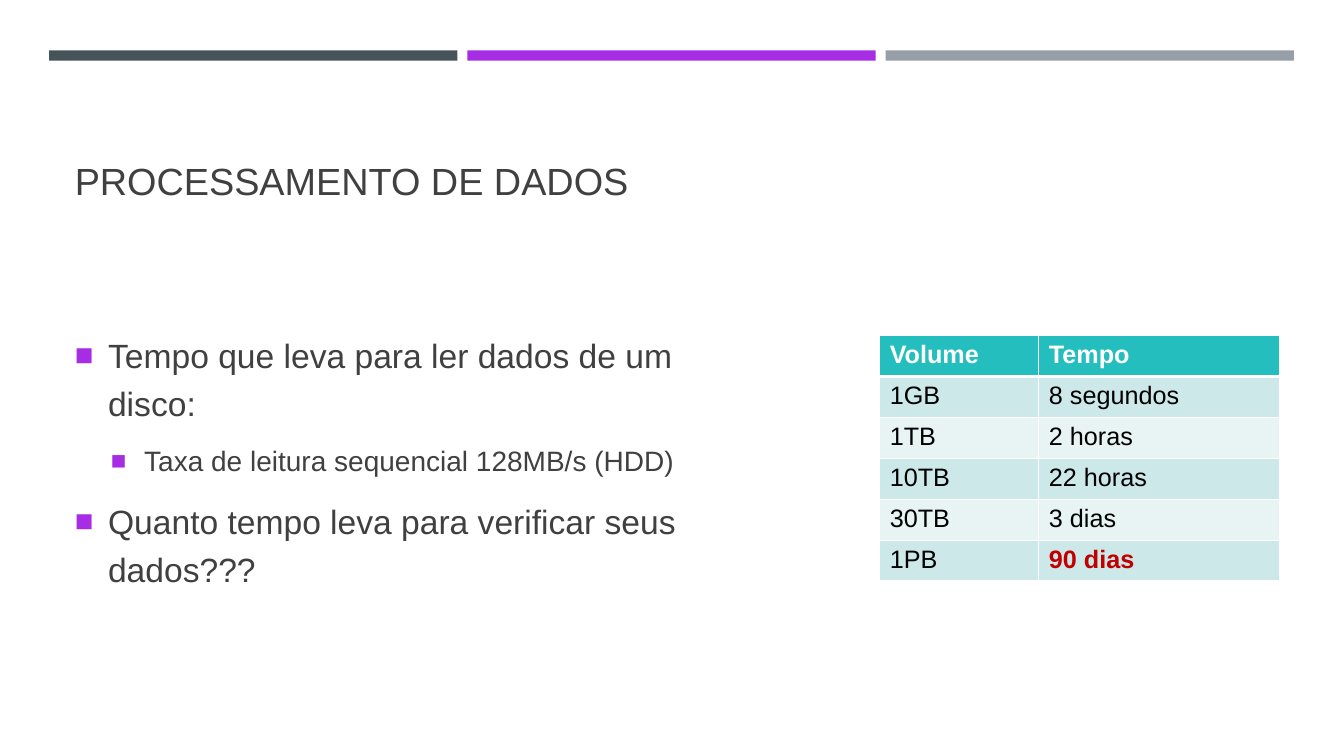
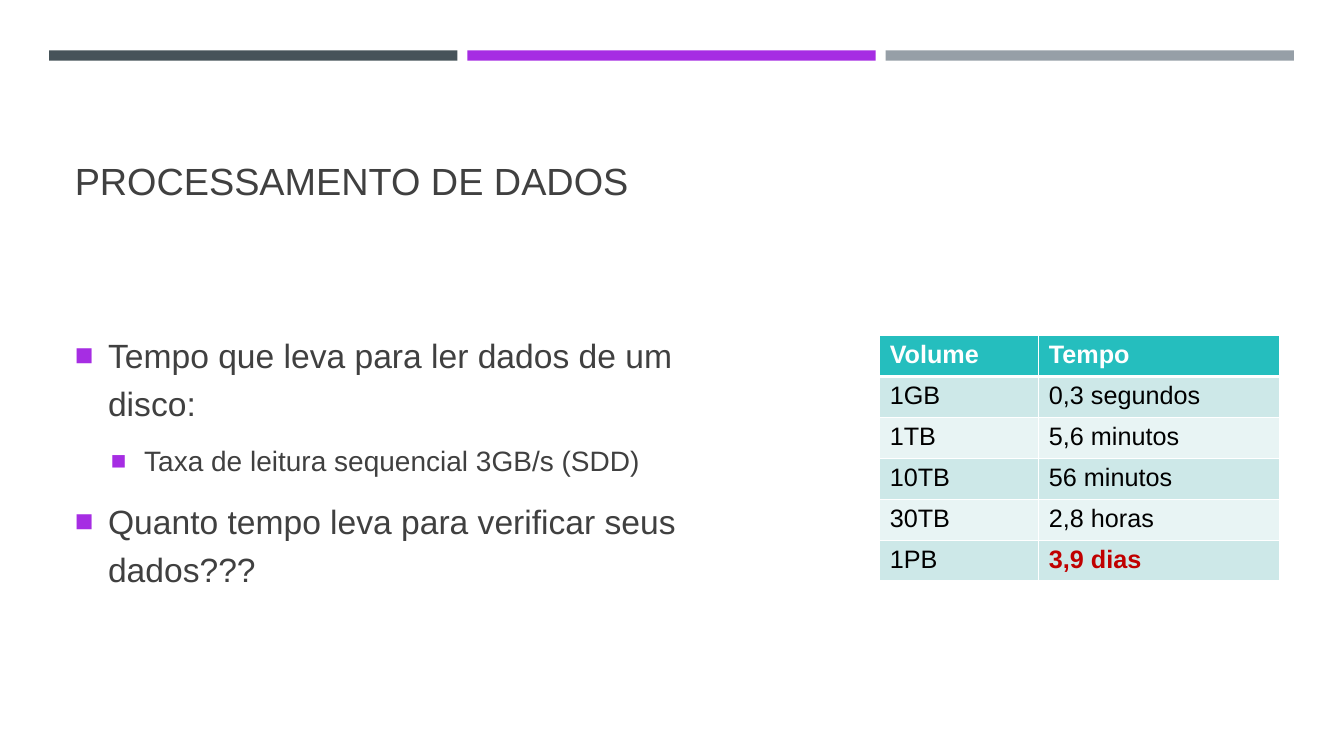
from dataclasses import dataclass

from lxml import etree
from pptx import Presentation
from pptx.dml.color import RGBColor
from pptx.enum.shapes import MSO_SHAPE
from pptx.enum.text import MSO_ANCHOR, MSO_AUTO_SIZE, PP_ALIGN
from pptx.oxml.ns import qn
from pptx.util import Cm, Pt

RECT = MSO_SHAPE.RECTANGLE
BOTTOM, MIDDLE = MSO_ANCHOR.BOTTOM, MSO_ANCHOR.MIDDLE
FIXED = MSO_AUTO_SIZE.NONE
LEFT = PP_ALIGN.LEFT


@dataclass(frozen=True)
class Theme:
    font: str = "Arial"
    ink: str = "404040"
    accent: str = "A62DE3"
    bands: tuple = ("465359", "A62DE3", "969FA7")
    head: str = "25BEBE"
    rows: tuple = ("CDE8E8", "E8F4F4")
    white: str = "FFFFFF"
    black: str = "000000"
    alert: str = "C00000"
    title: int = 27
    levels: tuple = (24, 20)
    cell: int = 18


THEME = Theme()


def write(para, text, size, color, bold=False, align=LEFT, line=None,
          before=0, after=0):
    para.alignment = align
    para.space_before, para.space_after = Pt(before), Pt(after)
    if line:
        para.line_spacing = line
    run = para.add_run()
    run.text = text
    font = run.font
    font.name, font.size, font.bold = THEME.font, Pt(size), bold
    font.color.rgb = RGBColor.from_string(color)


def node(parent, tag, **attrs):
    return etree.SubElement(parent, qn(tag), attrs)


def bullet(para, level):
    """Give the paragraph a square bullet and a hanging indent."""
    para.level = level
    props = para._p.get_or_add_pPr()
    props.set("marL", str(Cm((0.84, 1.75)[level])))
    props.set("indent", str(Cm(-0.84)))
    node(node(props, "a:buClr"), "a:srgbClr", val=THEME.accent)
    node(props, "a:buSzPct", val="92000")
    node(props, "a:buFont", typeface=THEME.font)
    node(props, "a:buChar", char="■")


def edge(cell, color, base):
    """Draw 1 pt cell borders, with a bottom border of base points."""
    props = cell._tc.get_or_add_tcPr()
    for side, width in (("L", 1), ("R", 1), ("T", 1), ("B", base)):
        line = node(props, f"a:ln{side}", w=str(Pt(width)))
        node(node(line, "a:solidFill"), "a:srgbClr", val=color)


class Deck:
    def __init__(self):
        self.prs = Presentation()
        self.prs.slide_width, self.prs.slide_height = Cm(33.87), Cm(19.05)
        self.slide = None

    def page(self, title):
        """Start a slide with the shared bands and title."""
        self.slide = self.prs.slides.add_slide(self.prs.slide_layouts[1])
        self.bands()
        frame = self.place(self.slide.shapes.title,
                           (1.63, 1.96, 30.63, 3.3), BOTTOM)
        write(frame.paragraphs[0], title, THEME.title, THEME.ink, line=0.9)

    def place(self, holder, box, anchor):
        """Move a placeholder and return its text frame."""
        holder.left, holder.top, holder.width, holder.height = map(Cm, box)
        frame = holder.text_frame
        frame.auto_size, frame.word_wrap = FIXED, True
        frame.vertical_anchor = anchor
        return frame

    def bands(self):
        wide, gap = 10.29, 0.25
        for i, color in enumerate(THEME.bands):
            band = self.slide.shapes.add_shape(
                RECT, Cm(1.24 + i * (wide + gap)), Cm(1.27), Cm(wide), Cm(0.26))
            band.shadow.inherit = False
            band.fill.solid()
            band.fill.fore_color.rgb = RGBColor.from_string(color)
            band.line.fill.background()

    def points(self, items):
        frame = self.place(self.slide.placeholders[1],
                           (1.63, 6.5, 17.88, 10.08), MIDDLE)
        for i, (level, text) in enumerate(items):
            para = frame.add_paragraph() if i else frame.paragraphs[0]
            bullet(para, level)
            size = THEME.levels[level]
            write(para, text, size, THEME.ink, line=1.2,
                  before=0.2 * size if i else 0, after=6)

    def table(self, rows):
        """Draw a banded table whose last value stands out."""
        widths, high = (4.01, 6.07), 1.03
        grid = self.slide.shapes.add_table(
            len(rows), len(widths), Cm(22.17), Cm(8.46),
            Cm(sum(widths)), Cm(high * len(rows))).table
        for col, width in zip(grid.columns, widths):
            col.width = Cm(width)
        for r, row in enumerate(rows):
            grid.rows[r].height = Cm(high)
            for c, text in enumerate(row):
                head = r == 0
                last = (r, c) == (len(rows) - 1, len(widths) - 1)
                fill = THEME.head if head else THEME.rows[(r - 1) % 2]
                color = (THEME.white if head else
                         THEME.alert if last else THEME.black)
                cell = grid.cell(r, c)
                edge(cell, THEME.white, 3 if head else 1)
                cell.fill.solid()
                cell.fill.fore_color.rgb = RGBColor.from_string(fill)
                write(cell.text_frame.paragraphs[0], text, THEME.cell, color,
                      bold=head or last)


VOLUMES = ("1GB", "1TB", "10TB", "30TB", "1PB")
DISKS = (
    ("128MB/s (HDD)",
     ("8 segundos", "2 horas", "22 horas", "3 dias", "90 dias")),
    ("3GB/s (SDD)",
     ("0,3 segundos", "5,6 minutos", "56 minutos", "2,8 horas", "3,9 dias")),
)


def main():
    deck = Deck()
    for rate, times in DISKS:
        deck.page("PROCESSAMENTO DE DADOS")
        deck.points((
            (0, "Tempo que leva para ler dados de um disco:"),
            (1, f"Taxa de leitura sequencial {rate}"),
            (0, "Quanto tempo leva para verificar seus dados???"),
        ))
        deck.table([("Volume", "Tempo"), *zip(VOLUMES, times)])
    deck.prs.save("out.pptx")


if __name__ == "__main__":
    main()
